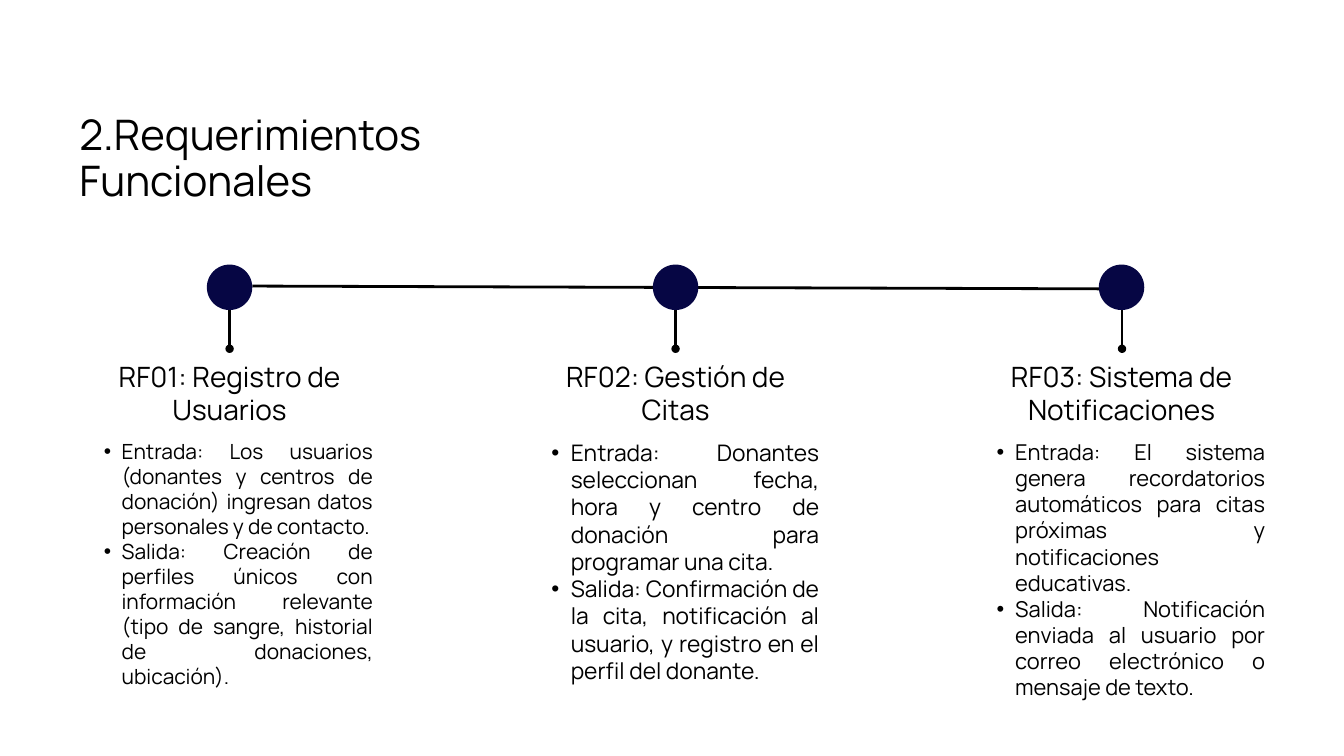
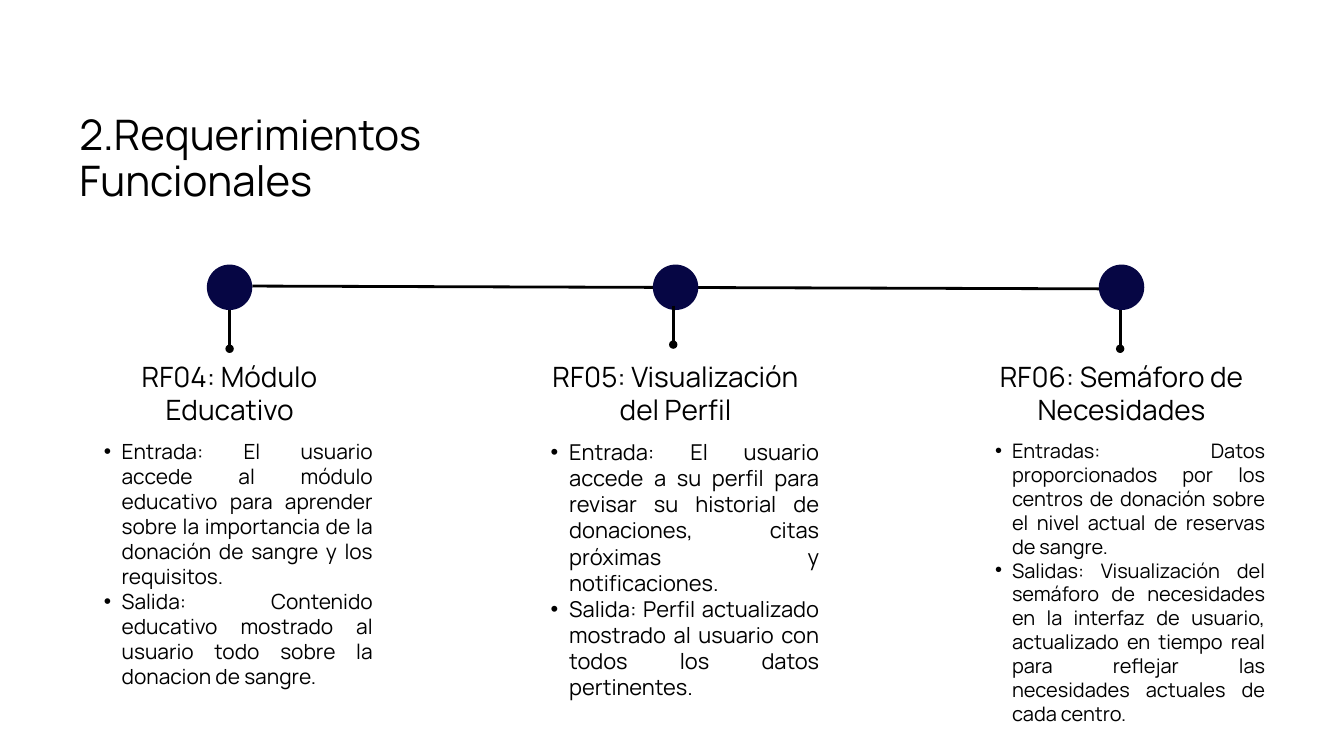
from dataclasses import dataclass
from lxml.etree import SubElement
from pptx import Presentation
from pptx.dml.color import RGBColor
from pptx.enum.shapes import MSO_CONNECTOR, MSO_SHAPE
from pptx.enum.text import MSO_ANCHOR, MSO_AUTO_SIZE, PP_ALIGN
from pptx.oxml.ns import qn
from pptx.util import Pt

TITLE = "2.Requerimientos Funcionales"
SLIDES = [
    [
        dict(head="RF01: Registro de Usuarios", size=22.4, high=322.5, shift=(0, 0), items=[
            "Entrada: Los usuarios (donantes y centros de donación) ingresan datos personales y de contacto.",
            "Salida: Creación de perfiles únicos con información relevante (tipo de sangre, historial de donaciones, ubicación).",
        ]),
        dict(head="RF02: Gestión de Citas", size=24.4, high=316, shift=(0, 0), items=[
            "Entrada: Donantes seleccionan fecha, hora y centro de donación para programar una cita.",
            "Salida: Confirmación de la cita, notificación al usuario, y registro en el perfil del donante.",
        ]),
        dict(head="RF03: Sistema de Notificaciones", size=23.4, high=310, shift=(0.5, 0), items=[
            "Entrada: El sistema genera recordatorios automáticos para citas próximas y notificaciones educativas.",
            "Salida: Notificación enviada al usuario por correo electrónico o mensaje de texto.",
        ]),
    ],
    [
        dict(head="RF04: Módulo Educativo", size=22.4, high=322.5, shift=(0, 0), items=[
            "Entrada: El usuario accede al módulo educativo para aprender sobre la importancia de la donación de sangre y los requisitos.",
            "Salida: Contenido educativo mostrado al usuario todo sobre la donacion de sangre.",
        ]),
        dict(head="RF05: Visualización del Perfil", size=23.4, high=335, shift=(-2.5, -4.5), items=[
            "Entrada: El usuario accede a su perfil para revisar su historial de donaciones, citas próximas y notificaciones.",
            "Salida: Perfil actualizado mostrado al usuario con todos los datos pertinentes.",
        ]),
        dict(head="RF06: Semáforo de Necesidades", size=21.4, high=387.5, shift=(-1.5, 0), items=[
            "Entradas: Datos proporcionados por los centros de donación sobre el nivel actual de reservas de sangre.",
            "Salidas: Visualización del semáforo de necesidades en la interfaz de usuario, actualizado en tiempo real para reflejar las necesidades actuales de cada centro.",
        ]),
    ],
]


@dataclass(frozen=True)
class Theme:
    font: str = "Manrope"
    ink: RGBColor = RGBColor(0, 0, 0)
    navy: RGBColor = RGBColor(6, 6, 68)
    title: float = 45
    head: float = 30
    line: float = 3


LOOK = Theme()
FIRST, STEP, WIDE = 246, 477.85, 307.5
NODE, NODE_TOP = 48.7, 283.5
STEM_TOP, STEM_END = 332, 373.7
HEAD_TOP, HEAD_HIGH, LIST_TOP = 385, 73.5, 470


def place(shape, *box):
    shape.left, shape.top, shape.width, shape.height = map(Pt, box)


def write(shape, lines, size, lead, align, bullet=False):
    frame = shape.text_frame
    frame.word_wrap = True
    frame.auto_size = MSO_AUTO_SIZE.NONE
    frame.vertical_anchor = MSO_ANCHOR.TOP
    frame.margin_left = frame.margin_top = frame.margin_right = frame.margin_bottom = 0
    frame.text = "\n".join(lines)
    for para in frame.paragraphs:
        if bullet:
            mark(para, size)
        para.alignment = align
        para.line_spacing = Pt(lead)
        para.space_before = para.space_after = Pt(0)
        font = para.font
        font.name, font.size, font.bold = LOOK.font, Pt(size), False
        font.color.rgb = LOOK.ink


def mark(para, size):
    para.level = 1
    props = para._p.get_or_add_pPr()
    props.set("marL", str(Pt(size * 1.7)))
    props.set("indent", str(-Pt(size * 0.85)))
    SubElement(props, qn("a:buFont"), typeface="Arial")
    SubElement(props, qn("a:buChar"), char="•")


def draw_line(slide, start, end, dot=False):
    link = slide.shapes.add_connector(MSO_CONNECTOR.STRAIGHT, *map(Pt, start + end))
    link.line.color.rgb = LOOK.ink
    link.line.width = Pt(LOOK.line)
    if dot:
        SubElement(link.get_or_add_ln(), qn("a:tailEnd"), type="oval")
    SubElement(link._element.spPr, qn("a:effectLst"))


def draw_node(slide, mid):
    box = map(Pt, (mid - NODE / 2, NODE_TOP, NODE, NODE))
    node = slide.shapes.add_shape(MSO_SHAPE.OVAL, *box)
    node.shadow.inherit = False
    node.fill.solid()
    node.fill.fore_color.rgb = LOOK.navy
    node.line.fill.background()


def add_column(slide, body, mid, part):
    left = mid - WIDE / 2
    draw_node(slide, mid)
    dx, dy = part["shift"]
    draw_line(slide, (mid + dx, STEM_TOP + dy), (mid + dx, STEM_END + dy), True)
    head = slide.shapes.add_textbox(*map(Pt, (left, HEAD_TOP, WIDE, HEAD_HIGH)))
    write(head, [part["head"]], LOOK.head, 36, PP_ALIGN.CENTER)
    place(body, left, LIST_TOP, WIDE, part["high"])
    size = part["size"]
    write(body, part["items"], size, round(size * 1.196, 1), PP_ALIGN.JUSTIFY, True)


def add_slide(deck, parts):
    slide = deck.slides.add_slide(deck.slide_layouts.get_by_name("Comparison"))
    title, *bodies = slide.placeholders
    place(title, 85, 121, 559.5, 103.5)
    write(title, [TITLE], LOOK.title, 49.5, PP_ALIGN.LEFT)
    for spare in bodies[len(parts):]:
        spare._element.getparent().remove(spare._element)
    last = FIRST + STEP * (len(parts) - 1)
    draw_line(slide, (FIRST + NODE / 2, 306.5), (last - NODE / 2, 309.5))
    for i, (body, part) in enumerate(zip(bodies, parts)):
        add_column(slide, body, FIRST + STEP * i, part)


def main():
    deck = Presentation()
    deck.slide_width, deck.slide_height = Pt(1440), Pt(810)
    for parts in SLIDES:
        add_slide(deck, parts)
    deck.save("out.pptx")


if __name__ == "__main__":
    main()
